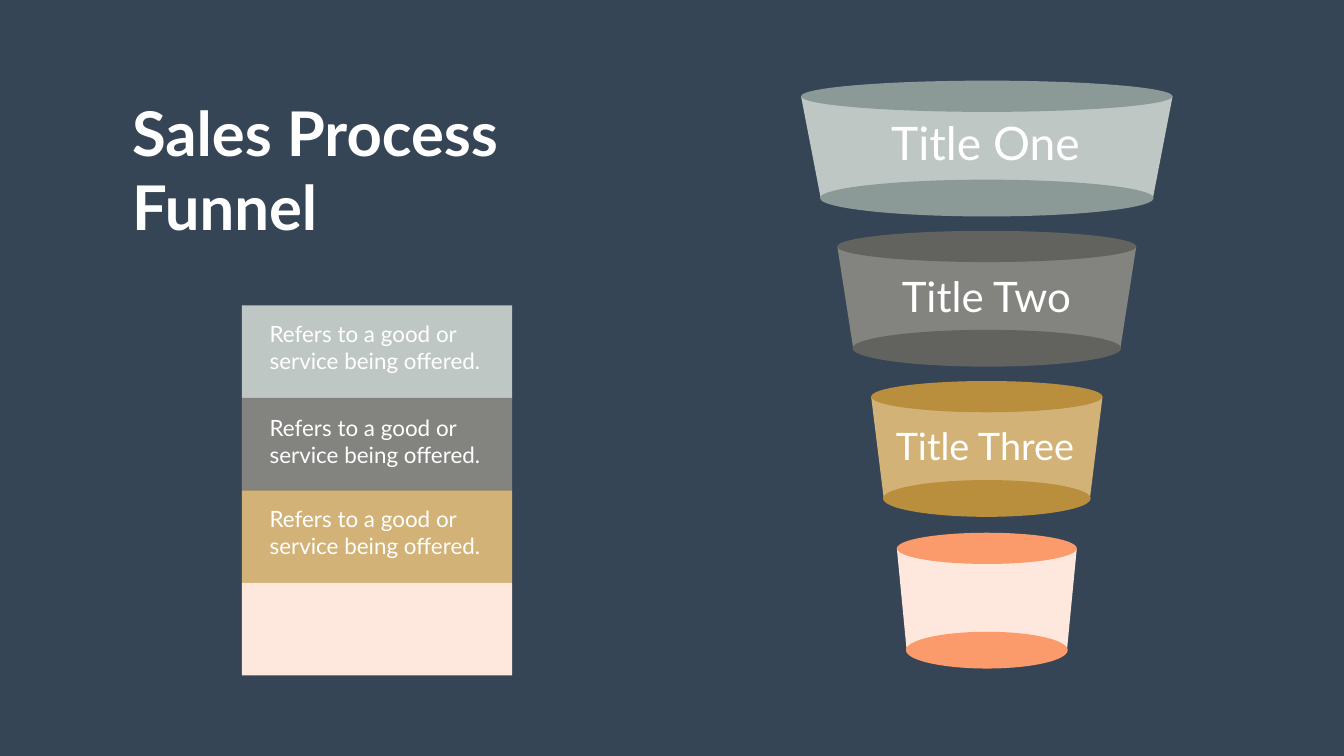
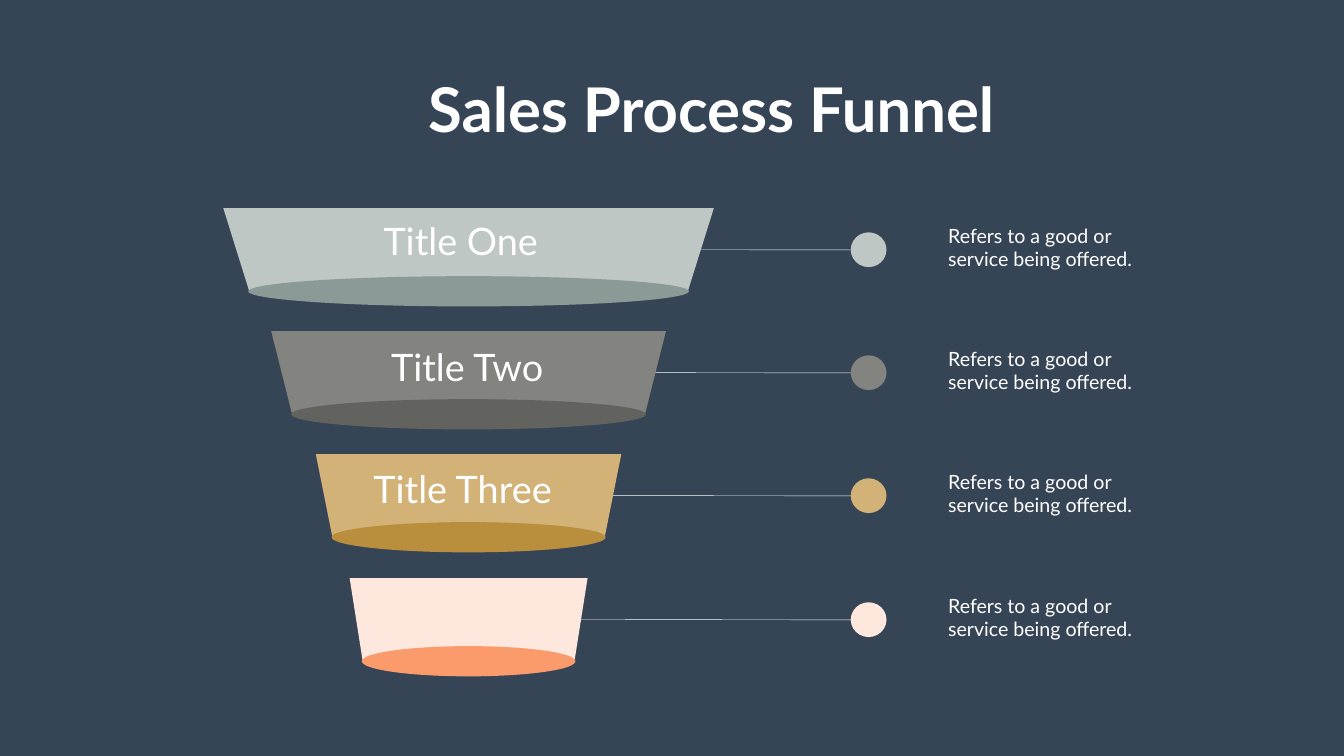
from dataclasses import dataclass

from lxml import etree
from pptx import Presentation
from pptx.dml.color import RGBColor
from pptx.enum.shapes import MSO_CONNECTOR, MSO_SHAPE
from pptx.enum.text import MSO_ANCHOR, MSO_AUTO_SIZE, PP_ALIGN
from pptx.oxml.ns import qn
from pptx.util import Emu, Pt

OVAL = MSO_SHAPE.OVAL
RECTANGLE = MSO_SHAPE.RECTANGLE
STRAIGHT = MSO_CONNECTOR.STRAIGHT
TOP = MSO_ANCHOR.TOP
FIT_SHAPE = MSO_AUTO_SIZE.SHAPE_TO_FIT_TEXT
LEFT = PP_ALIGN.LEFT
CENTER = PP_ALIGN.CENTER

EMU_PER_PX = 9144
SLIDE_W, SLIDE_H = 2666, 1500
TITLE_ONLY = 5


@dataclass(frozen=True)
class Theme:
    font: str = "Lato"
    background: str = "364556"
    text: str = "FFFFFF"
    light: tuple = ("BFC7C5", "83847F", "D2B276", "FEE8DD")
    dark: tuple = ("8B9A96", "62635F", "B98E3D", "FB9A6A")
    title_size: int = 88
    tapered_sizes: tuple = (66, 60, 54)
    stage_size: int = 54
    legend_size: int = 32
    note_size: int = 28
    line_width: float = 0.57


THEME = Theme()
STAGES = ("Title One", "Title Two", "Title Three")
NOTE = "Refers to a good or\nservice being offered."


def px(value):
    return Emu(round(value * EMU_PER_PX))


def rgb(value):
    return RGBColor.from_string(value)


def paint(sp, color):
    sp.fill.solid()
    sp.fill.fore_color.rgb = rgb(color)
    sp.line.fill.background()
    sp.shadow.inherit = False


def add_block(slide, kind, left, top, width, height, color):
    sp = slide.shapes.add_shape(kind, px(left), px(top), px(width), px(height))
    paint(sp, color)


def add_taper(slide, center, top, top_width, bottom_width, height, color):
    half_top, half_bottom = top_width / 2, bottom_width / 2
    bottom = top + height
    builder = slide.shapes.build_freeform(px(center - half_top), px(top))
    builder.add_line_segments([
        (px(center + half_top), px(top)),
        (px(center + half_bottom), px(bottom)),
        (px(center - half_bottom), px(bottom)),
    ], close=True)
    paint(builder.convert_to_shape(), color)


def add_disc(slide, center, middle, width, height, color):
    add_block(slide, OVAL, center - width / 2, middle - height / 2, width, height, color)


def write(sp, text, size, bold=False, align=LEFT):
    tf = sp.text_frame
    tf.text = text
    tf.word_wrap = False
    tf.auto_size = FIT_SHAPE
    tf.vertical_anchor = TOP
    for p in tf.paragraphs:
        p.alignment = align
        for r in p.runs:
            r.font.name = THEME.font
            r.font.size = Pt(size)
            r.font.bold = bold
            r.font.color.rgb = rgb(THEME.text)


def text_height(text, size):
    return len(text.split("\n")) * size * 5 / 3 + 11


def add_text(slide, text, left, top, width, size):
    sp = slide.shapes.add_textbox(px(left), px(top), px(width), px(text_height(text, size)))
    write(sp, text, size)


def add_titled_slide(prs, text, left, top, width, align):
    slide = prs.slides.add_slide(prs.slide_layouts[TITLE_ONLY])
    sp = slide.shapes.title
    sp.left, sp.top, sp.width = px(left), px(top), px(width)
    sp.height = px(text_height(text, THEME.title_size))
    write(sp, text, THEME.title_size, True, align)
    return slide


def add_stage_labels(slide, left, top, label_boxes, sizes):
    for stage, (x, y, width), size in zip(STAGES, label_boxes, sizes):
        add_text(slide, stage, left + x, top + y, width, size)


def add_legend(slide, left, top, width, height):
    block_height = height / len(THEME.light)
    for i, color in enumerate(THEME.light):
        add_block(slide, RECTANGLE, left, top + i * block_height, width, block_height, color)
    for y in (25, 211, 392):
        add_text(slide, NOTE, left + 45, top + y, 446, THEME.legend_size)


def add_cup_funnel(slide, left, top, width):
    center = left + width / 2
    body_height, rim_height, base_height = 202, 62, 73
    tops = (0, 298, 596, 897)
    rims = (width, 593, 459, 357)
    bases = (662, 533, 412, 321)
    for offset, rim, base, light, dark in zip(tops, rims, bases, THEME.light, THEME.dark):
        middle = top + offset + rim_height / 2
        add_taper(slide, center, middle, rim, base - 3, body_height, light)
        add_disc(slide, center, middle, rim, rim_height, dark)
        add_disc(slide, center, middle + body_height, base, base_height, dark)
    label_boxes = ((169, 62, 400), (190, 372, 369), (178, 674, 382))
    add_stage_labels(slide, left, top, label_boxes, THEME.tapered_sizes)


def add_leader(slide, start, end, y):
    line = slide.shapes.add_connector(STRAIGHT, px(start), px(y), px(end), px(y + 1))
    line.line.color.rgb = rgb(THEME.text)
    line.line.width = Pt(THEME.line_width)
    etree.SubElement(line._element.spPr, qn("a:effectLst"))


def add_noted_funnel(slide, left, top, width):
    center = left + width / 2
    body_height, base_height = 165, 60
    tops = (0, 244, 488, 734)
    rims = (width, 783, 606, 472)
    bases = (874, 704, 544, 424)
    for offset, rim, base, light, dark in zip(tops, rims, bases, THEME.light, THEME.dark):
        y = top + offset
        middle = y + body_height / 2
        add_leader(slide, left + 604, left + 1280, y + 82)
        add_taper(slide, center, y, rim, base - 4, body_height, light)
        add_disc(slide, center, y + body_height, base, base_height, dark)
        add_disc(slide, left + 1280, middle, 71, 69, light)
        add_text(slide, NOTE, left + 1428, y + 26, 387, THEME.note_size)
    label_boxes = ((308, 14, 328), (323, 264, 326), (288, 506, 383))
    add_stage_labels(slide, left, top, label_boxes, [THEME.stage_size] * len(STAGES))


def build_legend_slide(prs):
    slide = add_titled_slide(prs, "Sales Process\nFunnel", 252, 184, 759, LEFT)
    add_legend(slide, 480, 606, 536, 734)
    add_cup_funnel(slide, 1589, 160, 737)


def build_noted_slide(prs):
    slide = add_titled_slide(prs, "Sales Process Funnel", 832, 136, 1158, CENTER)
    add_noted_funnel(slide, 443, 413, 973)


def main():
    prs = Presentation()
    prs.slide_width, prs.slide_height = px(SLIDE_W), px(SLIDE_H)
    fill = prs.slide_master.background.fill
    fill.solid()
    fill.fore_color.rgb = rgb(THEME.background)
    build_legend_slide(prs)
    build_noted_slide(prs)
    prs.save("out.pptx")


if __name__ == "__main__":
    main()
